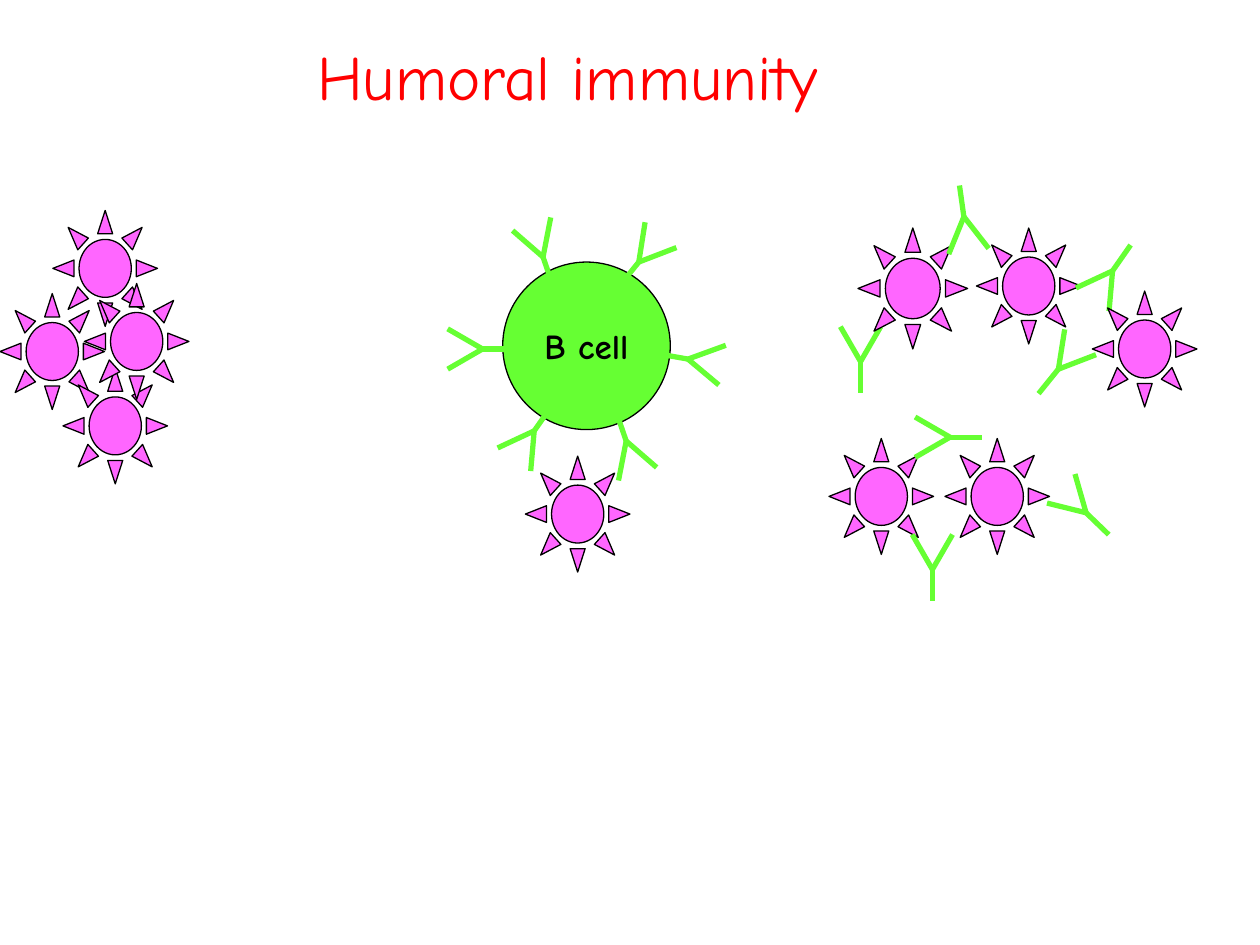
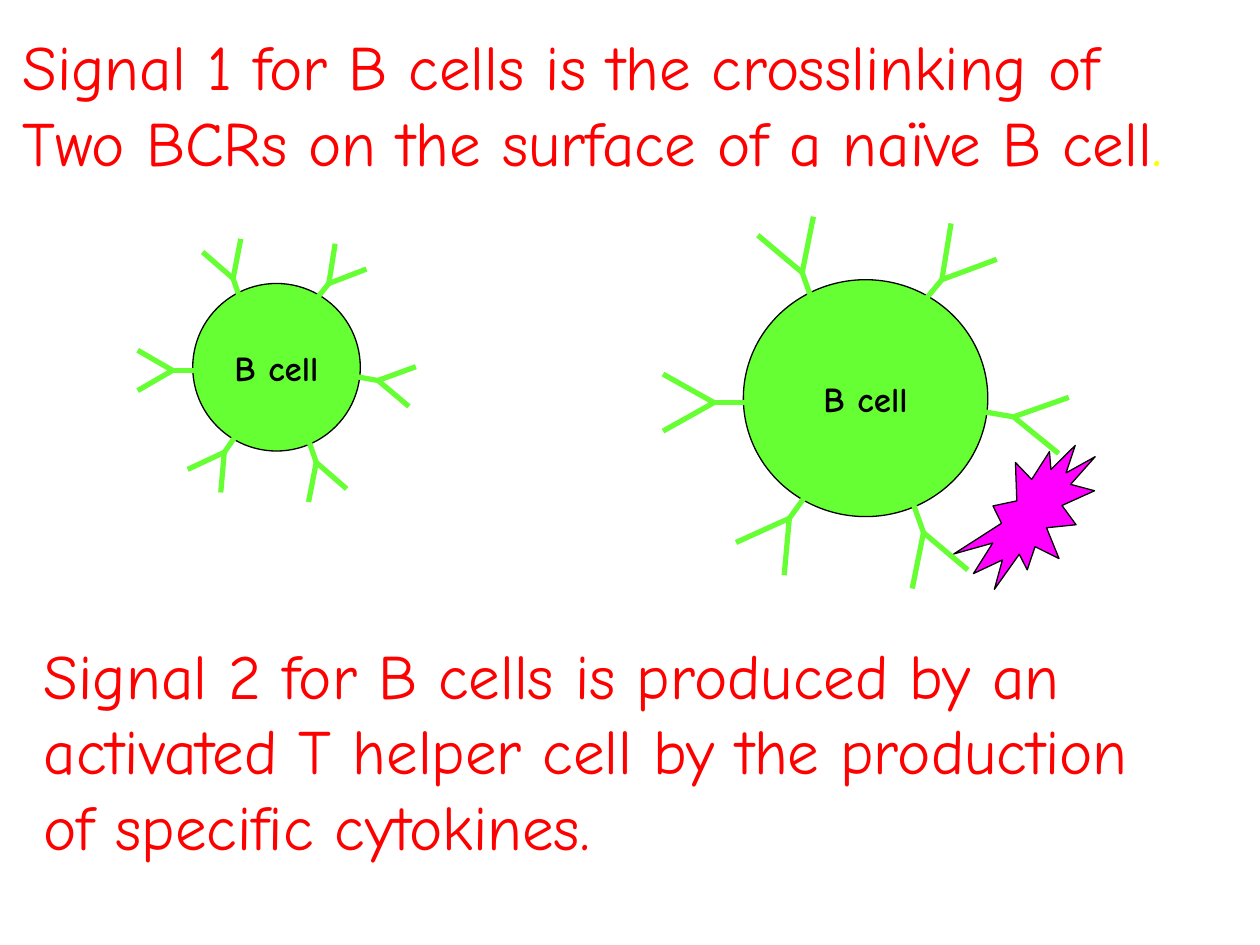
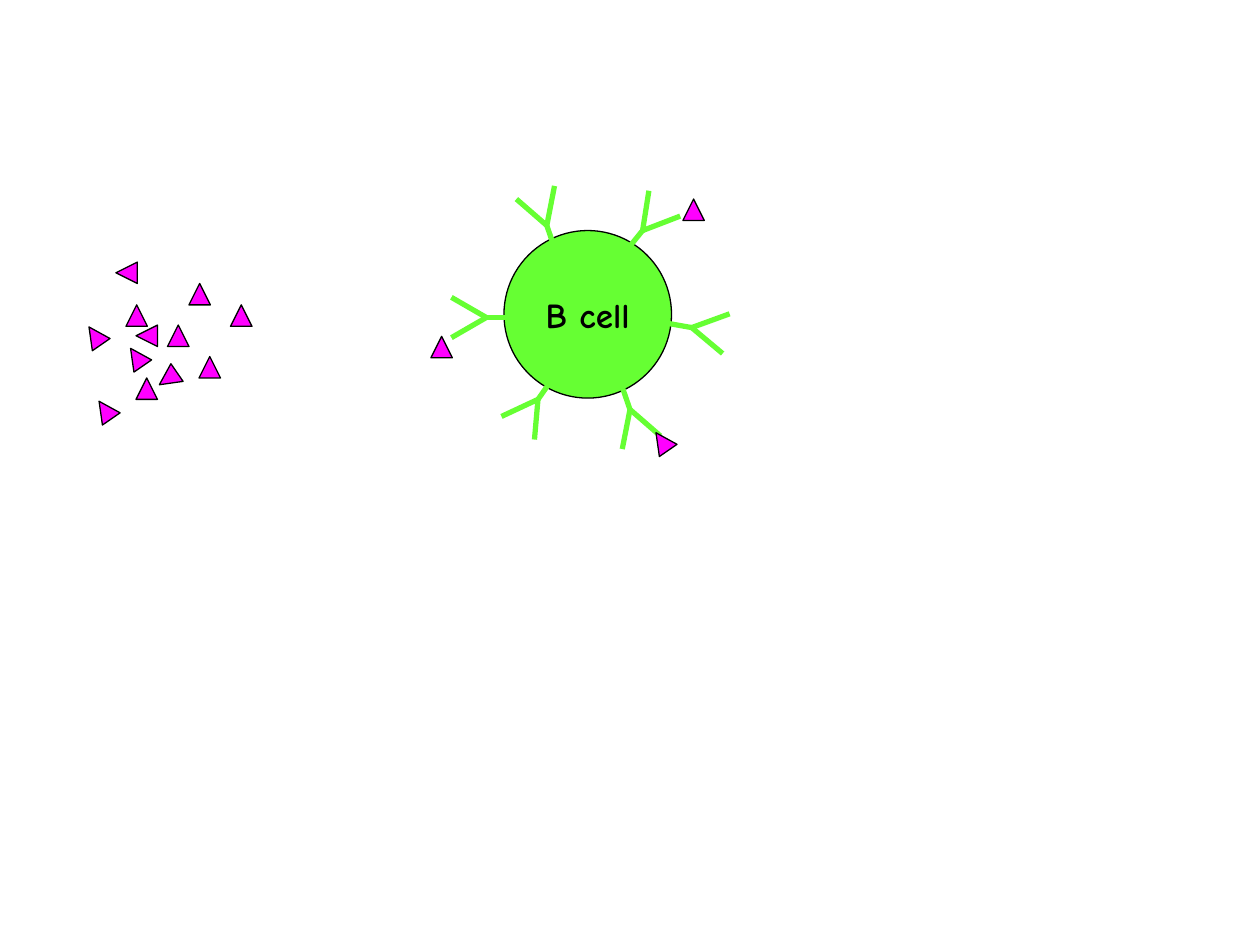
"""Build three slides on humoral immunity and B cell activation."""
import math

import pptx
import pptx.dml.color
import pptx.enum.shapes
import pptx.enum.text
import pptx.oxml.ns
import pptx.util
from lxml import etree

Inches = pptx.util.Inches
Pt = pptx.util.Pt
SHAPE = pptx.enum.shapes.MSO_SHAPE

COLORS = {
    "heading": "FF0000",
    "stop": "FFFF00",
    "cell": "66FF33",
    "virus": "FF66FF",
    "antigen": "FF00FF",
    "ink": "000000",
}
FONT = "Comic Neue"
CELL = 1.33
ARM, ARM_ANGLE = 0.32, 150
STEM_START, STEM_END = -0.03, 0.25
RECEPTORS = [
    (0.25, 1.34, 305),
    (0.98, 1.42, 251),
    (1.47, 0.77, 190),
    (-0.16, 0.69, 0),
    (1.08, 0, 129),
    (0.32, -0.04, 71),
]


def rgb(name):
    return pptx.dml.color.RGBColor.from_string(COLORS[name])


def write(p, text, size=36, color="heading", bold=False):
    r = p.add_run()
    r.text = text
    r.font.name = FONT
    r.font.size = Pt(size)
    r.font.bold = bold
    r.font.color.rgb = rgb(color)


class Deck:
    def __init__(self):
        self.prs = pptx.Presentation()
        self.prs.slide_width = Inches(10)
        self.prs.slide_height = Inches(7.5)
        self.s = None

    def slide(self):
        self.s = self.prs.slides.add_slide(self.prs.slide_layouts[6])

    def heading(self, x, y, w, h, lines):
        sp = self.s.shapes.add_textbox(Inches(x), Inches(y), Inches(w), Inches(h))
        tf = sp.text_frame
        tf.word_wrap = False
        tf.auto_size = pptx.enum.text.MSO_AUTO_SIZE.SHAPE_TO_FIT_TEXT
        for i, line in enumerate(lines):
            write(tf.add_paragraph() if i else tf.paragraphs[0], line)
        return tf

    def shape(self, kind, x, y, w, h, color, rotation=0):
        sp = self.s.shapes.add_shape(kind, Inches(x), Inches(y), Inches(w), Inches(h))
        sp.shadow.inherit = False
        sp.fill.solid()
        sp.fill.fore_color.rgb = rgb(color)
        sp.line.color.rgb = rgb("ink")
        sp.line.width = Pt(0.75)
        sp.rotation = rotation
        return sp

    def line(self, start, end):
        ends = [Inches(v) for v in (*start, *end)]
        sp = self.s.shapes.add_connector(pptx.enum.shapes.MSO_CONNECTOR.STRAIGHT, *ends)
        sp.line.color.rgb = rgb("cell")
        sp.line.width = Pt(3)
        etree.SubElement(sp._element.spPr, pptx.oxml.ns.qn("a:effectLst"))

    def antibody(self, x, y, angle, sx=1, sy=1):
        def point(length, turn=0):
            a = math.radians(angle + turn)
            return x + sx * length * math.cos(a), y + sy * length * math.sin(a)

        for turn in (ARM_ANGLE, -ARM_ANGLE):
            self.line(point(ARM, turn), (x, y))
        self.line(point(STEM_START), point(STEM_END))

    def receptors(self, x, y, w=CELL, h=CELL):
        sx, sy = w / CELL, h / CELL
        for dx, dy, angle in RECEPTORS:
            self.antibody(x + sx * dx, y + sy * dy, angle, sx, sy)

    def cell(self, x, y, w=CELL, h=CELL):
        tf = self.shape(SHAPE.OVAL, x, y, w, h, "cell").text_frame
        tf.word_wrap = False
        tf.vertical_anchor = pptx.enum.text.MSO_ANCHOR.MIDDLE
        p = tf.paragraphs[0]
        p.alignment = pptx.enum.text.PP_ALIGN.CENTER
        write(p, "B cell", size=20, color="ink", bold=True)

    def virus(self, x, y, w=0.83, h=0.92):
        self.shape(SHAPE.SUN, x, y, w, h, "virus")

    def antigen(self, x, y, rotation=0):
        self.shape(SHAPE.ISOSCELES_TRIANGLE, x, y, 0.17, 0.17, "antigen", rotation)


def humoral_immunity(d):
    d.slide()
    d.antibody(6.83, 2.87, 90)
    d.cell(3.99, 2.08)
    d.receptors(3.99, 2.08)
    for x, y in [(0.42, 1.67), (4.17, 3.62), (0, 2.33), (0.5, 2.92), (0.67, 2.25)]:
        d.virus(x, y)
    d.virus(6.81, 1.81, 0.87, 0.96)
    for x, y in [(6.58, 3.48), (7.75, 1.81)]:
        d.virus(x, y)
    for x, y, angle in [
        (8.83, 2.15, 305), (8.62, 4.07, 44), (7.4, 4.52, 90),
        (7.54, 3.47, 0), (8.4, 2.93, 129), (7.65, 1.72, 262),
    ]:
        d.antibody(x, y, angle)
    for x, y in [(8.67, 2.31), (7.5, 3.48)]:
        d.virus(x, y)
    d.heading(2.42, 0.25, 4.36, 0.7, ["Humoral immunity"])


def activation_signals(d):
    d.slide()
    for box in [(1.53, 2.25, CELL, CELL), (5.9, 2.22, 1.94, 1.88)]:
        d.cell(*box)
        d.receptors(*box)
    tf = d.heading(0.08, 0.17, 9.96, 1.3, [
        "Signal 1 for B cells is the crosslinking of",
        "Two BCRs on the surface of a naïve B cell",
    ])
    write(tf.paragraphs[-1], ".", color="stop")
    d.shape(SHAPE.EXPLOSION1, 7.54, 3.71, 1.33, 0.75, "antigen", 309.2)
    d.heading(0.25, 5, 9.86, 1.92, [
        "Signal 2 for B cells is produced by an",
        "activated T helper cell by the production",
        "of specific cytokines.",
    ])


def antigen_binding(d):
    d.slide()
    d.cell(4, 1.83)
    d.receptors(4.02, 1.83)
    bound = [(5.42, 1.58), (3.42, 2.67), (5.17, 3.42, 325.3)]
    free = [
        (1.5, 2.25), (1, 2.42), (0.67, 2.58, 325.3), (0.92, 2.08, 270),
        (1.08, 2.58, 270), (1.25, 2.92, 235.3), (1.83, 2.42), (1.33, 2.58),
        (1, 2.75, 325.3), (1.58, 2.83), (1.08, 3), (0.75, 3.17, 325.3),
    ]
    for place in bound + free:
        d.antigen(*place)


def main():
    d = Deck()
    humoral_immunity(d)
    activation_signals(d)
    antigen_binding(d)
    d.prs.save("out.pptx")


if __name__ == "__main__":
    main()
